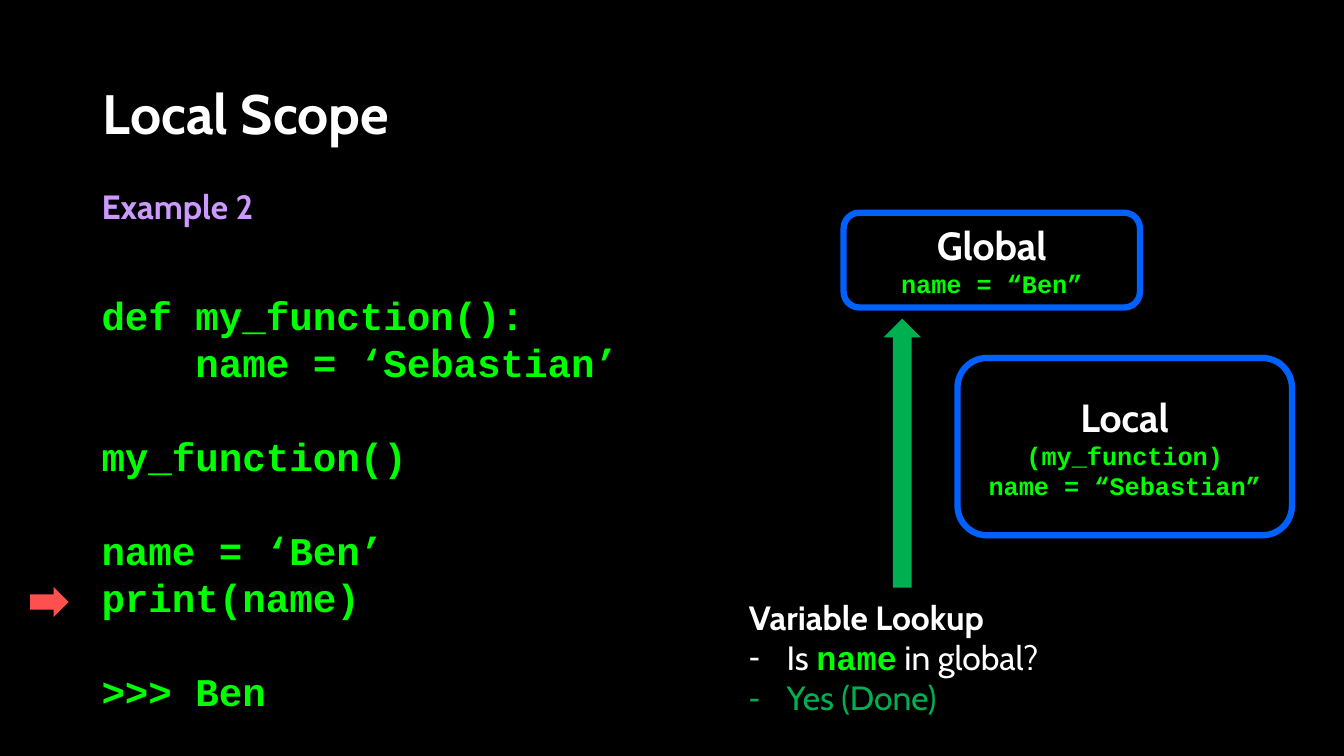
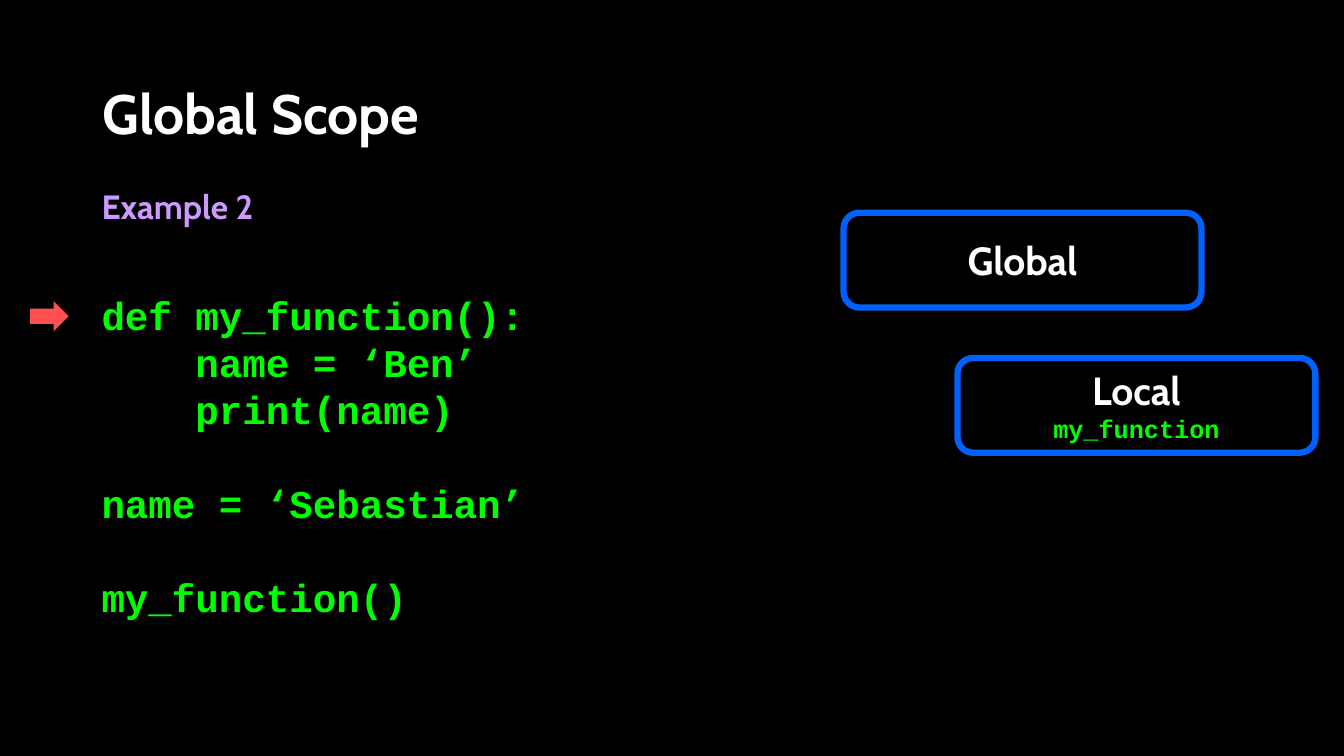
from lxml import etree
from pptx import Presentation
from pptx.dml.color import RGBColor
from pptx.enum.shapes import MSO_SHAPE
from pptx.enum.text import MSO_ANCHOR, MSO_AUTO_SIZE, PP_ALIGN
from pptx.oxml.ns import qn
from pptx.util import Cm, Pt

ROUNDED, ARROW = MSO_SHAPE.ROUNDED_RECTANGLE, MSO_SHAPE.RIGHT_ARROW
LEFT, CENTER = PP_ALIGN.LEFT, PP_ALIGN.CENTER
TOP, MIDDLE = MSO_ANCHOR.TOP, MSO_ANCHOR.MIDDLE
FIXED, GROW = MSO_AUTO_SIZE.NONE, MSO_AUTO_SIZE.SHAPE_TO_FIT_TEXT

COLORS = {
    "background": "000000", "text": "FFFFFF", "code": "00FF00", "example": "CC99FF",
    "frame": "0061FF", "pointer": "FF5050", "success": "00B050",
}
STYLES = {
    "title": ("text", {"name": "Cabin", "size": Pt(39.6), "bold": True}),
    "example": ("example", {"name": "Cabin", "size": Pt(24), "bold": True}),
    "code": ("code", {"name": "Courier New", "size": Pt(28), "bold": True}),
    "scope": ("text", {"name": "Cabin", "size": Pt(28), "bold": True}),
    "variable": ("code", {"name": "Courier New", "size": Pt(18), "bold": True}),
    "heading": ("text", {"name": "Cabin", "size": Pt(24), "bold": True}),
    "lookup": ("text", {"name": "Cabin", "size": Pt(24), "bold": False}),
    "lookup code": ("code", {"name": "Courier New", "size": Pt(24), "bold": True}),
    "answer": ("success", {"name": "Cabin", "size": Pt(24), "bold": False}),
}

SLIDES = [
    {
        "title": "Local Scope",
        "code": [
            "def my_function():",
            "    name = ‘Sebastian’",
            "",
            "my_function()",
            "",
            "name = ‘Ben’",
            "print(name)",
            "",
            ">>> Ben",
        ],
        "code_width": 13.64,
        "current_line": 6,
        "scopes": [
            ("Global", ["name = “Ben”"], 7.47, 2.39),
            ("Local", ["(my_function)", "name = “Sebastian”"], 8.43, 4.47),
        ],
        "lookup": [
            [("Variable Lookup", "heading")],
            [("Is ", "lookup"), ("name", "lookup code"), (" in global?", "lookup")],
            [("Yes (Done)", "answer")],
        ],
    },
    {
        "title": "Global Scope",
        "code": [
            "def my_function():",
            "    name = ‘Ben’",
            "    print(name)",
            "",
            "name = ‘Sebastian’",
            "",
            "my_function()",
        ],
        "code_width": 11.86,
        "current_line": 0,
        "scopes": [
            ("Global", [], 9.02, 2.39),
            ("Local", ["my_function"], 9.02, 2.39),
        ],
        "lookup": [],
    },
]

EXAMPLE = "Example 2"
TITLE_AREA = (2.34, 2.03, 29.21, 1.83)
EXAMPLE_AREA = (2.31, 4.55, 4.65, 1.27)
LOOKUP_AREA = (18.62, 14.91, 8.26, 3.33)
LOOKUP_ARROW_AREA = (19.35, 10.95, 6.78, 0.94)
SCOPE_CORNERS = {"Global": (21.26, 5.36), "Local": (24.13, 9.02)}
CODE_LEFT, CODE_TOP, CODE_LINE = 2.31, 7.21, 1.2
POINTER_LEFT, POINTER_TOP, POINTER_SIZE = 0.76, 7.59, (0.97, 0.76)
BLANK_LINE = Pt(33.6)
BULLET_INDENT = Cm(0.95)


def rgb(color):
    return RGBColor.from_string(COLORS[color])


def place(shape, area):
    for side, length in zip(("left", "top", "width", "height"), area):
        setattr(shape, side, Cm(length))


def write(shape, paragraphs, align=LEFT, **frame_format):
    frame = shape.text_frame
    for attribute, value in frame_format.items():
        setattr(frame, attribute, value)
    gap = Pt(0)
    first = True
    for runs in paragraphs:
        if not runs[0][0]:
            gap += BLANK_LINE
            continue
        paragraph = frame.paragraphs[0] if first else frame.add_paragraph()
        paragraph.alignment = align
        paragraph.space_before = gap
        first, gap = False, Pt(0)
        for text, style in runs:
            run = paragraph.add_run()
            run.text = text
            color, font_format = STYLES[style]
            for attribute, value in font_format.items():
                setattr(run.font, attribute, value)
            run.font.color.rgb = rgb(color)


def add_text(slide, area, paragraphs):
    box = slide.shapes.add_textbox(*map(Cm, area))
    write(box, paragraphs, word_wrap=False, auto_size=GROW)


def add_arrow(slide, area, color, rotation=0):
    arrow = slide.shapes.add_shape(ARROW, *map(Cm, area))
    arrow.shadow.inherit = False
    arrow.fill.solid()
    arrow.fill.fore_color.rgb = rgb(color)
    arrow.line.fill.background()
    arrow.rotation = rotation


def add_scope(slide, name, variables, width, height):
    area = (*SCOPE_CORNERS[name], width, height)
    box = slide.shapes.add_shape(ROUNDED, *map(Cm, area))
    box.shadow.inherit = False
    box.fill.background()
    box.line.color.rgb = rgb("frame")
    box.line.width = Pt(4.5)
    paragraphs = [[(name, "scope")]] + [[(text, "variable")] for text in variables]
    write(box, paragraphs, CENTER, vertical_anchor=MIDDLE)


def set_bullet(paragraph, character):
    indent = BULLET_INDENT if character else 0
    properties = paragraph._p.get_or_add_pPr()
    properties.set("marL", str(indent))
    properties.set("indent", str(-indent))
    if character:
        etree.SubElement(properties, qn("a:buChar")).set("char", character)
    else:
        etree.SubElement(properties, qn("a:buNone"))


def add_lookup(slide, paragraphs):
    body = slide.placeholders[1]
    place(body, LOOKUP_AREA)
    write(body, paragraphs, word_wrap=False, auto_size=FIXED, vertical_anchor=TOP)
    for index, paragraph in enumerate(body.text_frame.paragraphs):
        set_bullet(paragraph, "-" if index else "")
    add_arrow(slide, LOOKUP_ARROW_AREA, "success", 270)


def add_slide(presentation, content):
    layout_name = "Title and Content" if content["lookup"] else "Title Only"
    slide = presentation.slides.add_slide(presentation.slide_layouts.get_by_name(layout_name))
    title = slide.shapes.title
    place(title, TITLE_AREA)
    write(title, [[(content["title"], "title")]], vertical_anchor=MIDDLE, auto_size=FIXED)
    title.text_frame.paragraphs[0].line_spacing = 0.9

    code = content["code"]
    code_area = (CODE_LEFT, CODE_TOP, content["code_width"], 0.25 + CODE_LINE * len(code))
    add_text(slide, code_area, [[(line, "code")] for line in code])
    pointer_top = POINTER_TOP + CODE_LINE * content["current_line"]
    add_arrow(slide, (POINTER_LEFT, pointer_top, *POINTER_SIZE), "pointer")
    add_text(slide, EXAMPLE_AREA, [[(EXAMPLE, "example")]])
    for scope in content["scopes"]:
        add_scope(slide, *scope)
    if content["lookup"]:
        add_lookup(slide, content["lookup"])


def main():
    presentation = Presentation()
    presentation.slide_width, presentation.slide_height = Cm(33.87), Cm(19.05)
    background = presentation.slide_master.background.fill
    background.solid()
    background.fore_color.rgb = rgb("background")
    for content in SLIDES:
        add_slide(presentation, content)
    presentation.save("out.pptx")


if __name__ == "__main__":
    main()
